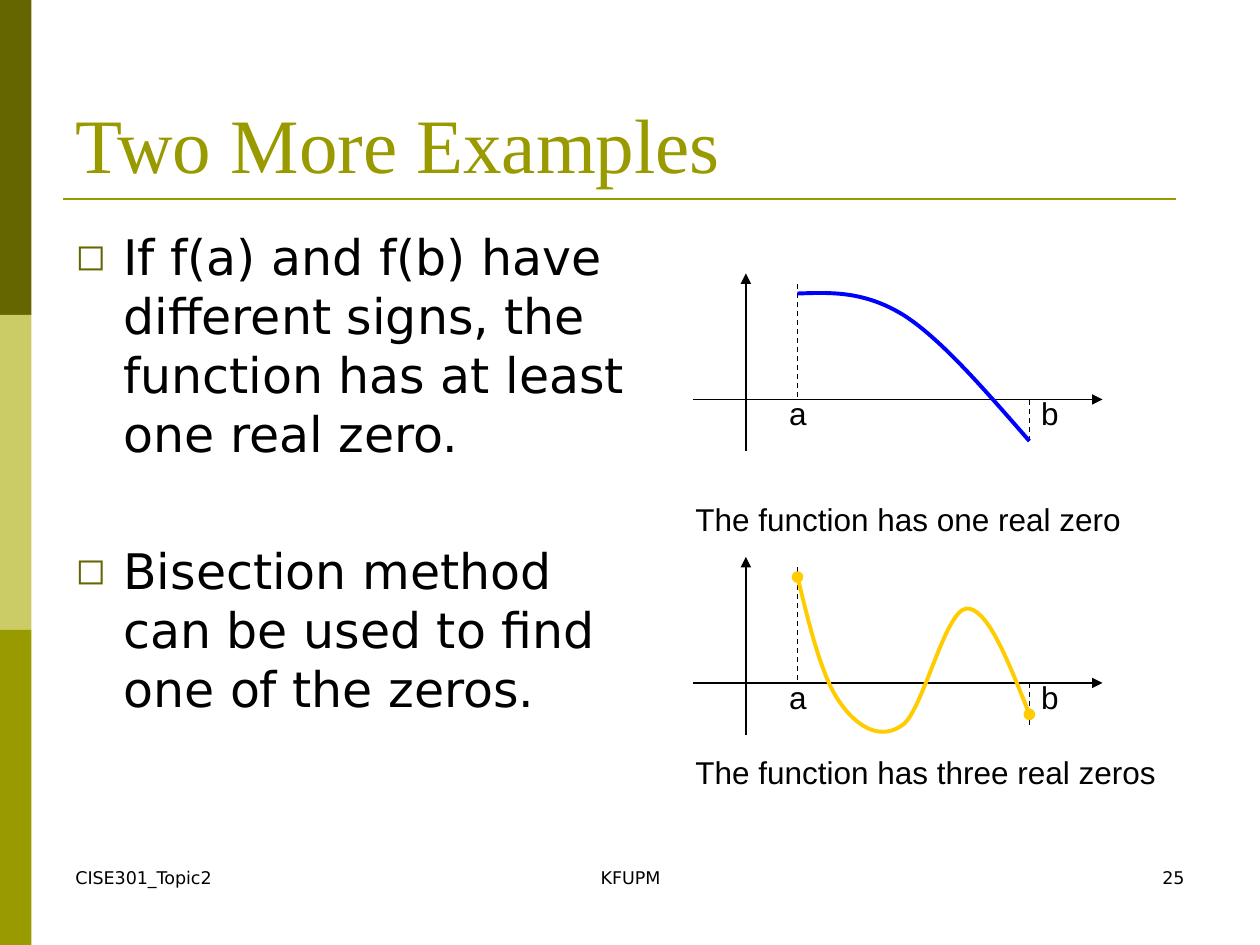
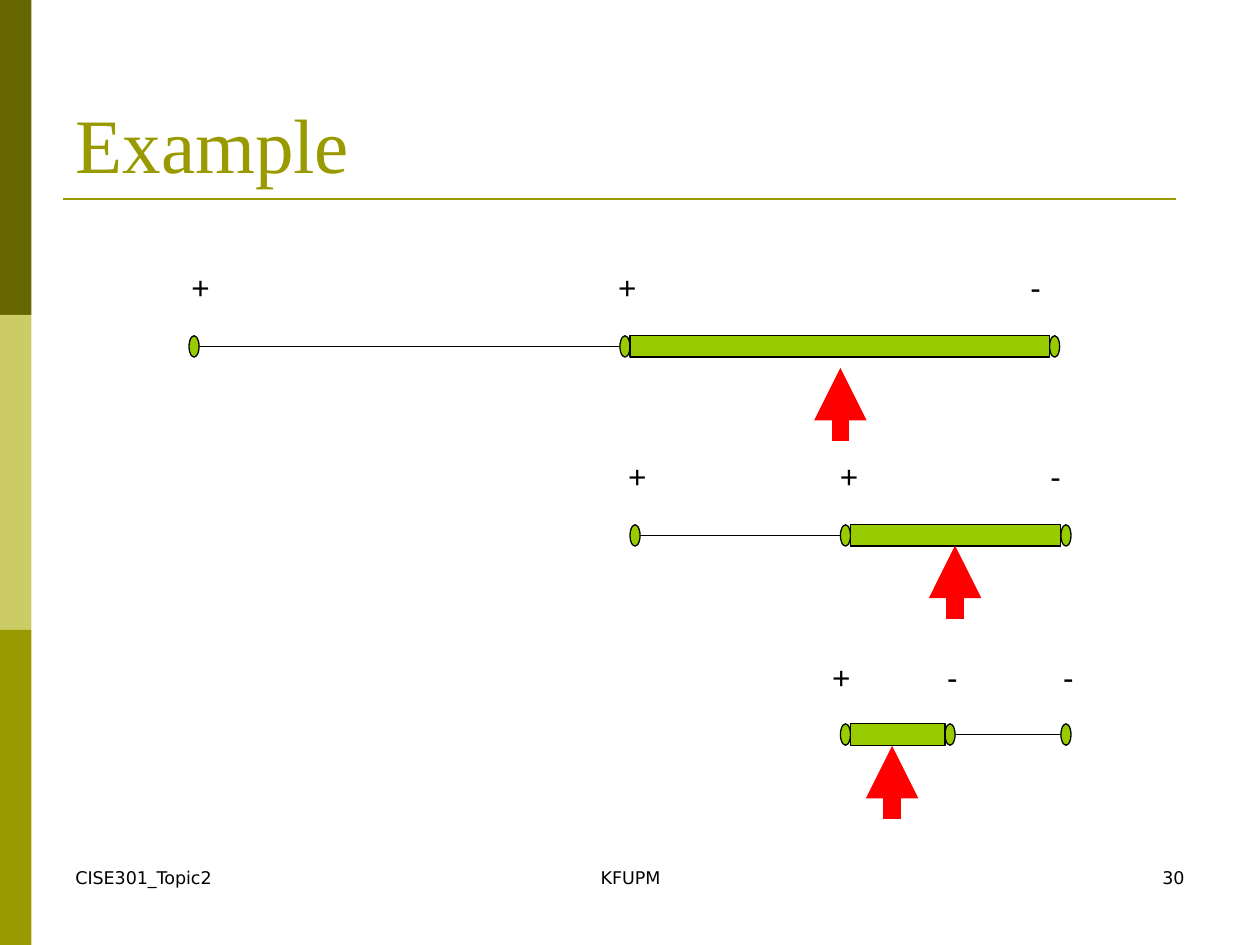
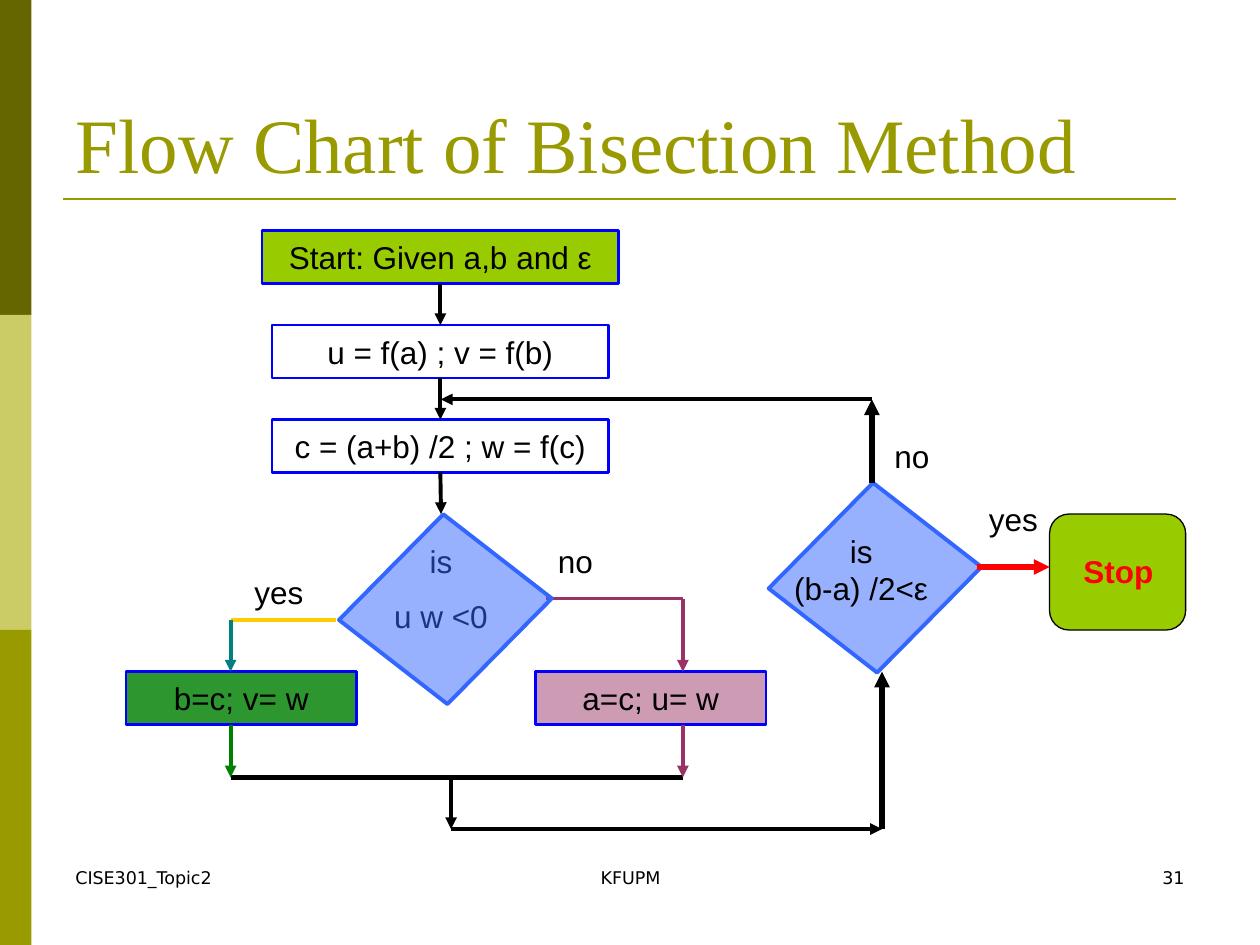
import dataclasses
import typing

import lxml.etree
import pptx
import pptx.dml.color
import pptx.enum.dml
import pptx.enum.shapes
import pptx.enum.text
import pptx.oxml.ns
import pptx.shapes.autoshape
import pptx.shapes.connector
import pptx.slide
import pptx.text.text
import pptx.util

Inches = pptx.util.Inches
Pt = pptx.util.Pt
RGBColor = pptx.dml.color.RGBColor
Slide = pptx.slide.Slide
Shape = pptx.shapes.autoshape.Shape
Kind = pptx.enum.shapes.MSO_SHAPE
Align = pptx.enum.text.PP_ALIGN
Anchor = pptx.enum.text.MSO_ANCHOR
qn = pptx.oxml.ns.qn

BLACK = RGBColor(0x00, 0x00, 0x00)
OLIVE = RGBColor(0x99, 0x99, 0x00)
MOSS = RGBColor(0x66, 0x66, 0x00)
SAND = RGBColor(0xCC, 0xCC, 0x66)
BLUE = RGBColor(0x00, 0x00, 0xFF)
SKY = RGBColor(0x33, 0x66, 0xFF)
GOLD = RGBColor(0xFF, 0xCC, 0x00)
LIME = RGBColor(0x99, 0xCC, 0x00)
RED = RGBColor(0xFF, 0x00, 0x00)
GREEN = RGBColor(0x00, 0x80, 0x00)
TEAL = RGBColor(0x00, 0x80, 0x80)
PLUM = RGBColor(0x99, 0x33, 0x66)

SANS = "DejaVu Sans"
SERIF = "Times New Roman"
PLAIN = "Arial"


class Box(typing.NamedTuple):
    left: float
    top: float
    width: float
    height: float

    def place(self) -> list[int]:
        return [Inches(side) for side in self]


class Font(typing.NamedTuple):
    name: str = PLAIN
    size: float = 18
    color: RGBColor = BLACK
    bold: bool = False


@dataclasses.dataclass
class Note:
    box: Box
    lines: list[str]
    font: Font = Font()
    align: Align = Align.LEFT
    gap: float = 0


@dataclasses.dataclass
class Link:
    start: tuple[float, float]
    end: tuple[float, float]
    color: RGBColor = BLACK
    weight: float = 0.75
    arrow: bool = False
    dashed: bool = False


@dataclasses.dataclass
class Graph:
    axis: float
    color: RGBColor
    curve: list[tuple[float, float]]
    dots: bool
    text: Note


@dataclasses.dataclass
class Range:
    mid: float
    dots: list[float]
    half: int
    arrow: tuple[float, float]
    box: Box
    signs: str
    stops: list[float]


@dataclasses.dataclass
class Step:
    box: Box
    text: str
    fill: RGBColor | None = None
    alpha: int = 100


def add_run(para: pptx.text.text._Paragraph, text: str, font: Font) -> None:
    run = para.add_run()
    run.text = text
    run.font.name = font.name
    run.font.size = Pt(font.size)
    run.font.color.rgb = font.color
    run.font.bold = font.bold


def fill_text(shape: Shape, note: Note) -> None:
    frame = shape.text_frame
    frame.word_wrap = True
    frame.auto_size = pptx.enum.text.MSO_AUTO_SIZE.NONE
    for index, line in enumerate(note.lines):
        para = frame.add_paragraph() if index else frame.paragraphs[0]
        para.alignment = note.align
        para.space_before = Pt(note.gap if index else 0)
        add_run(para, line, note.font)


def add_note(slide: Slide, note: Note) -> Shape:
    shape = slide.shapes.add_textbox(*note.box.place())
    fill_text(shape, note)
    return shape


def add_ends(shape: typing.Any, *ends: str) -> None:
    line = shape.element.find(".//" + qn("a:ln"))
    for end, kind in zip(ends[::2], ends[1::2]):
        lxml.etree.SubElement(line, qn(f"a:{end}"), type=kind)


def add_link(slide: Slide, link: Link) -> pptx.shapes.connector.Connector:
    points = [Inches(value) for value in (*link.start, *link.end)]
    line = slide.shapes.add_connector(pptx.enum.shapes.MSO_CONNECTOR.STRAIGHT, *points)
    line.line.color.rgb = link.color
    line.line.width = Pt(link.weight)
    if link.dashed:
        line.line.dash_style = pptx.enum.dml.MSO_LINE.DASH
    if link.arrow:
        add_ends(line, "tailEnd", "triangle")
    lxml.etree.SubElement(line.element.find(qn("p:spPr")), qn("a:effectLst"))
    return line


def add_form(slide: Slide, kind: Kind, box: Box, fill: RGBColor | None,
             edge: RGBColor | None = BLACK, weight: float = 0.75, alpha: int = 100) -> Shape:
    shape = slide.shapes.add_shape(kind, *box.place())
    shape.shadow.inherit = False
    if fill is None:
        shape.fill.background()
    else:
        shape.fill.solid()
        shape.fill.fore_color.rgb = fill
        if alpha < 100:
            tint = shape.element.find(f".//{qn('a:solidFill')}/{qn('a:srgbClr')}")
            lxml.etree.SubElement(tint, qn("a:alpha"), val=str(alpha * 1000))
    if edge is None:
        shape.line.fill.background()
    else:
        shape.line.color.rgb = edge
        shape.line.width = Pt(weight)
    return shape


def add_curve(slide: Slide, points: list[tuple[float, float]], color: RGBColor) -> Shape:
    spots = [(Inches(x), Inches(y)) for x, y in points]
    form = slide.shapes.build_freeform(*spots[0])
    form.add_line_segments(spots[1:], close=False)
    shape = form.convert_to_shape()
    shape.shadow.inherit = False
    shape.fill.background()
    shape.line.color.rgb = color
    shape.line.width = Pt(2.25)
    route = shape.element.find(".//" + qn("a:path"))
    for index, piece in enumerate(route.findall(qn("a:lnTo"))):
        if index % 3 == 0:
            bend = lxml.etree.SubElement(route, qn("a:cubicBezTo"))
        bend.append(piece[0])
        route.remove(piece)
    return shape


def dress_master(slide: Slide) -> None:
    master = slide.slide_layout.slide_master
    bands = [add_form(slide, Kind.RECTANGLE, Box(0, 2.5 * index, 0.25, 2.5), color, None)
             for index, color in enumerate((MOSS, SAND, OLIVE))]
    rule = add_link(slide, Link((0.5, 1.58), (9.33, 1.58), OLIVE, 1.5))
    for index, item in enumerate((*bands, rule)):
        item.element.find(".//" + qn("p:cNvPr")).set("id", str(100 + index))
        master.shapes.element.append(item.element)


def add_slide(deck: typing.Any, layout: int, title: str, number: int) -> Slide:
    slide = deck.slides.add_slide(deck.slide_layouts[layout])
    head = slide.shapes.title
    box = Box(0.5, 0.3, 9, 1.25)
    head.left, head.top, head.width, head.height = box.place()
    head.text_frame.vertical_anchor = Anchor.BOTTOM
    fill_text(head, Note(box, [title], Font(SERIF, 44, OLIVE)))
    small = Font(SANS, 10)
    for left, width, text, align in (
        (0.5, 2.33, "CISE301_Topic2", Align.LEFT),
        (3.42, 3.17, "KFUPM", Align.CENTER),
        (7.17, 2.33, str(number), Align.RIGHT),
    ):
        add_note(slide, Note(Box(left, 6.83, width, 0.5), [text], small, align))
    return slide


def add_bullet(para: pptx.text.text._Paragraph) -> None:
    props = para._p.get_or_add_pPr()
    props.set("marL", str(Inches(0.38)))
    props.set("indent", str(Inches(-0.38)))
    tint = lxml.etree.SubElement(props, qn("a:buClr"))
    lxml.etree.SubElement(tint, qn("a:srgbClr"), val=str(MOSS))
    lxml.etree.SubElement(props, qn("a:buSzPct"), val="75000")
    lxml.etree.SubElement(props, qn("a:buFont"), typeface=SANS)
    lxml.etree.SubElement(props, qn("a:buChar"), char="◻")


def draw_graph(slide: Slide, graph: Graph) -> None:
    axis = graph.axis
    add_link(slide, Link((5.5, axis), (8.75, axis), arrow=True))
    add_link(slide, Link((5.92, axis + 0.41), (5.92, axis - 1), arrow=True))
    add_link(slide, Link((6.33, axis - 0.92), (6.33, axis), dashed=True))
    add_link(slide, Link((8.17, axis + 0.33), (8.17, axis), dashed=True))
    for left, name in ((5.92, "a"), (7.92, "b")):
        add_note(slide, Note(Box(left, axis - 0.09, 0.58, 0.4), [name], align=Align.RIGHT))
    curve = add_curve(slide, graph.curve, graph.color)
    if graph.dots:
        add_ends(curve, "headEnd", "oval", "tailEnd", "oval")
    add_note(slide, graph.text)


def draw_zeros(slide: Slide) -> None:
    body = slide.placeholders[1]
    box = Box(0.5, 1.75, 4.75, 4.33)
    body.left, body.top, body.width, body.height = box.place()
    fill_text(body, Note(box, [
        "If f(a) and f(b) have different signs, the function has at least one real zero.",
        "Bisection method can be used to find one of the zeros.",
    ], Font(SANS, 28), gap=45))
    for para in body.text_frame.paragraphs:
        add_bullet(para)
    graphs = [
        Graph(3.17, BLUE, [
            (6.33, 2.33), (6.6, 2.32), (6.86, 2.31), (7.17, 2.5),
            (7.47, 2.69), (7.82, 3.1), (8.17, 3.5),
        ], False, Note(Box(5.42, 3.92, 3.75, 0.4), ["The function has one real zero"])),
        Graph(5.42, GOLD, [
            (6.33, 4.58), (6.43, 4.99), (6.53, 5.39), (6.67, 5.58),
            (6.81, 5.78), (7, 5.88), (7.17, 5.75), (7.33, 5.62), (7.5, 4.85),
            (7.67, 4.83), (7.83, 4.82), (8, 5.24), (8.17, 5.67),
        ], True, Note(Box(5.42, 5.93, 3.92, 0.4), ["The function has three real zeros"])),
    ]
    for graph in graphs:
        draw_graph(slide, graph)


def draw_range(slide: Slide, span: Range) -> None:
    wide, high = 0.08, 0.17
    top = span.mid - high / 2
    add_link(slide, Link((span.dots[0], span.mid), (span.dots[-1] + wide, span.mid)))
    signs = add_note(slide, Note(span.box, ["".join("\t" + sign for sign in span.signs)]))
    props = signs.text_frame.paragraphs[0]._p.get_or_add_pPr()
    tabs = lxml.etree.SubElement(props, qn("a:tabLst"))
    for stop in span.stops:
        place = Inches(stop - span.box.left - 0.1)
        lxml.etree.SubElement(tabs, qn("a:tab"), pos=str(place), algn="ctr")
    for left in span.dots:
        add_form(slide, Kind.OVAL, Box(left, top, wide, high), LIME)
    left = span.dots[span.half] + wide
    width = span.dots[span.half + 1] - left
    add_form(slide, Kind.RECTANGLE, Box(left, top, width, high), LIME)
    x, y = span.arrow
    add_link(slide, Link((x, y + 0.58), (x, y), RED, 10, True))


def draw_halves(slide: Slide) -> None:
    for span in (
        Range(2.75, [1.5, 4.92, 8.33], 1, (6.67, 2.92),
              Box(1.42, 2.08, 7.08, 0.4), "++-", [1.59, 4.98, 8.22]),
        Range(4.25, [5, 6.67, 8.42], 1, (7.58, 4.33),
              Box(1.5, 3.58, 7.08, 0.4), "++-", [5.06, 6.74, 8.38]),
        Range(5.83, [6.67, 7.5, 8.42], 0, (7.08, 5.92),
              Box(4.08, 5.17, 4.83, 0.4), "+--", [6.68, 7.56, 8.48]),
    ):
        draw_range(slide, span)


def add_step(slide: Slide, step: Step) -> Shape:
    shape = add_form(slide, Kind.RECTANGLE, step.box, step.fill, BLUE, 1.5, step.alpha)
    shape.text_frame.vertical_anchor = Anchor.MIDDLE
    fill_text(shape, Note(step.box, [step.text], align=Align.CENTER))
    return shape


def add_test(slide: Slide, left: float, top: float) -> None:
    box = Box(left, top, 1.23, 1.17)
    shape = add_form(slide, Kind.PARALLELOGRAM, box, SKY, SKY, 2.25, 51)
    shape.adjustments[0] = 0.12
    shape.rotation = 37.8


def draw_flow(slide: Slide) -> None:
    steps = [add_step(slide, step) for step in (
        Step(Box(2.08, 1.83, 2.83, 0.42), "Start: Given a,b and ε", LIME),
        Step(Box(2.16, 2.58, 2.67, 0.42), "u = f(a) ; v = f(b)"),
        Step(Box(2.16, 3.33, 2.67, 0.42), "c = (a+b) /2 ; w = f(c)"),
    )]
    add_test(slide, 6.33, 4)
    add_note(slide, Note(Box(3, 4.25, 1, 0.85), ["is", "u w <0"], align=Align.CENTER, gap=10))
    add_step(slide, Step(Box(4.25, 5.33, 1.83, 0.42), "a=c; u= w", PLUM, 49))
    add_step(slide, Step(Box(1, 5.33, 1.83, 0.42), "b=c; v= w", GREEN, 82))
    for index, step in enumerate(steps):
        y = 2.25 + 0.75 * index
        line = add_link(slide, Link((3.5, y), (3.5, y + 0.33), BLACK, 2.25, True))
        line.begin_connect(step, 2)
        if index + 1 < len(steps):
            line.end_connect(steps[index + 1], 0)
    add_form(slide, Kind.ROUNDED_RECTANGLE, Box(8.33, 4.08, 1.08, 0.92), LIME)
    for link in (
        Link((4.33, 4.75), (5.42, 4.75), PLUM, 2.25),
        Link((5.42, 4.75), (5.42, 5.33), PLUM, 2.25, True),
        Link((2.67, 4.92), (1.83, 4.92), GOLD, 2.25),
        Link((1.83, 4.92), (1.83, 5.33), TEAL, 2.25, True),
        Link((1.83, 6.17), (5.42, 6.17), BLACK, 3),
        Link((1.83, 5.75), (1.83, 6.17), GREEN, 2.25, True),
        Link((5.42, 5.75), (5.42, 6.17), PLUM, 2.25, True),
        Link((3.58, 6.17), (3.58, 6.58), BLACK, 2.25, True),
        Link((3.58, 6.58), (7, 6.58), BLACK, 2.25, True),
        Link((7, 6.58), (7, 5.33), BLACK, 3, True),
        Link((6.92, 3.17), (3.5, 3.17), BLACK, 2.25, True),
        Link((6.92, 3.83), (6.92, 3.17), BLACK, 3, True),
        Link((7.75, 4.5), (8.33, 4.5), RED, 3, True),
    ):
        add_link(slide, link)
    add_test(slide, 2.92, 4.25)
    add_note(slide, Note(Box(6.17, 4.17, 1.33, 0.7), ["is", "(b-a) /2<ε"], align=Align.CENTER))
    for left, top, text in (
        (1.92, 4.5, "yes"), (7.75, 3.92, "yes"), (4.33, 4.25, "no"), (7, 3.42, "no"),
    ):
        add_note(slide, Note(Box(left, top, 1.08, 0.4), [text]))
    add_note(slide, Note(Box(8.5, 4.33, 0.92, 0.4), ["Stop"], Font(color=RED, bold=True)))


def main() -> None:
    deck = pptx.Presentation()
    deck.slide_width = Inches(10)
    deck.slide_height = Inches(7.5)
    zeros = add_slide(deck, 1, "Two More Examples", 25)
    dress_master(zeros)
    draw_zeros(zeros)
    draw_halves(add_slide(deck, 5, "Example", 30))
    draw_flow(add_slide(deck, 5, "Flow Chart of Bisection Method", 31))
    deck.save("out.pptx")


if __name__ == "__main__":
    main()
